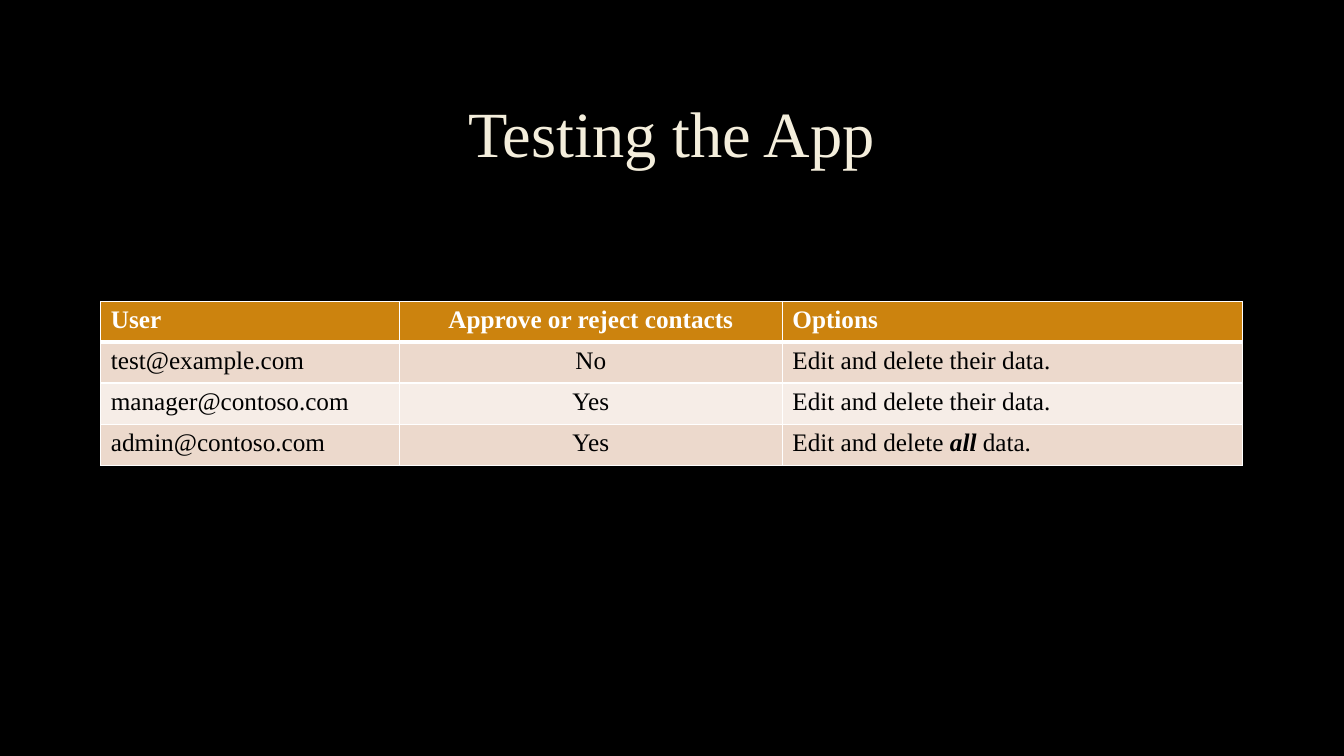
"""Build the slide that lists the app's test users and their rights."""
from lxml.etree import SubElement
from pptx import Presentation
from pptx.dml.color import RGBColor
from pptx.enum.text import MSO_ANCHOR, PP_ALIGN
from pptx.oxml.ns import qn
from pptx.util import Inches, Pt

FONT = "Times New Roman"
COLORS = {
    "back": "000000", "title": "F4EEDC", "head": "CC830E", "odd": "ECD9CC",
    "even": "F6EDE7", "light": "FFFFFF", "dark": "000000",
}
LEFT, WIDTH = 1, 11.32
COLS = (2.96, 3.8, 4.56)
ROWS = (0.38, 0.41, 0.41, 0.41)
ALIGNS = (PP_ALIGN.LEFT, PP_ALIGN.CENTER, PP_ALIGN.LEFT)
USERS = (
    ("User", "Approve or reject contacts", "Options"),
    ("test@example.com", "No", "Edit and delete their data."),
    ("manager@contoso.com", "Yes", "Edit and delete their data."),
    ("admin@contoso.com", "Yes", ("Edit and delete ", "all", " data.")),
)


def color(name):
    return RGBColor.from_string(COLORS[name])


def add_run(para, text, size, tint, bold=False, italic=False):
    run = para.add_run()
    run.text = text
    font = run.font
    font.name, font.size = FONT, Pt(size)
    font.bold, font.italic = bold, italic
    font.color.rgb = color(tint)


def add_title(slide, text):
    box = slide.shapes.add_textbox(
        Inches(LEFT), Inches(0.67), Inches(WIDTH), Inches(1.38))
    frame = box.text_frame
    frame.word_wrap = True
    frame.vertical_anchor = MSO_ANCHOR.MIDDLE
    para = frame.paragraphs[0]
    para.alignment = PP_ALIGN.CENTER
    para.line_spacing = 0.9
    add_run(para, text, 46, "title")


def add_edges(cell, top, bottom):
    props = cell._tc.get_or_add_tcPr()
    for side, width in (("L", 1), ("R", 1), ("T", top), ("B", bottom)):
        line = SubElement(props, qn(f"a:ln{side}"), w=str(Pt(width)))
        fill = SubElement(line, qn("a:solidFill"))
        SubElement(fill, qn("a:srgbClr"), val=COLORS["light"])


def fill_cell(cell, text, row, align):
    head = row == 0
    add_edges(cell, 3 if row == 1 else 1, 3 if head else 1)
    cell.fill.solid()
    cell.fill.fore_color.rgb = color("head" if head else "odd" if row % 2 else "even")
    para = cell.text_frame.paragraphs[0]
    para.alignment = align
    parts = (text,) if isinstance(text, str) else text
    for place, part in enumerate(parts):
        stress = place == 1
        add_run(para, part, 18, "light" if head else "dark", head or stress, stress)


def add_users(slide):
    table = slide.shapes.add_table(
        len(ROWS), len(COLS), Inches(LEFT), Inches(2.99),
        Inches(WIDTH), Inches(sum(ROWS))).table
    for col, width in zip(table.columns, COLS):
        col.width = Inches(width)
    for row, height in enumerate(ROWS):
        table.rows[row].height = Inches(height)
        for col, text in enumerate(USERS[row]):
            fill_cell(table.cell(row, col), text, row, ALIGNS[col])


def main():
    deck = Presentation()
    deck.slide_width, deck.slide_height = Inches(13.33), Inches(7.5)
    slide = deck.slides.add_slide(deck.slide_layouts[6])
    slide.background.fill.solid()
    slide.background.fill.fore_color.rgb = color("back")
    add_title(slide, "Testing the App")
    add_users(slide)
    deck.save("out.pptx")


if __name__ == "__main__":
    main()
